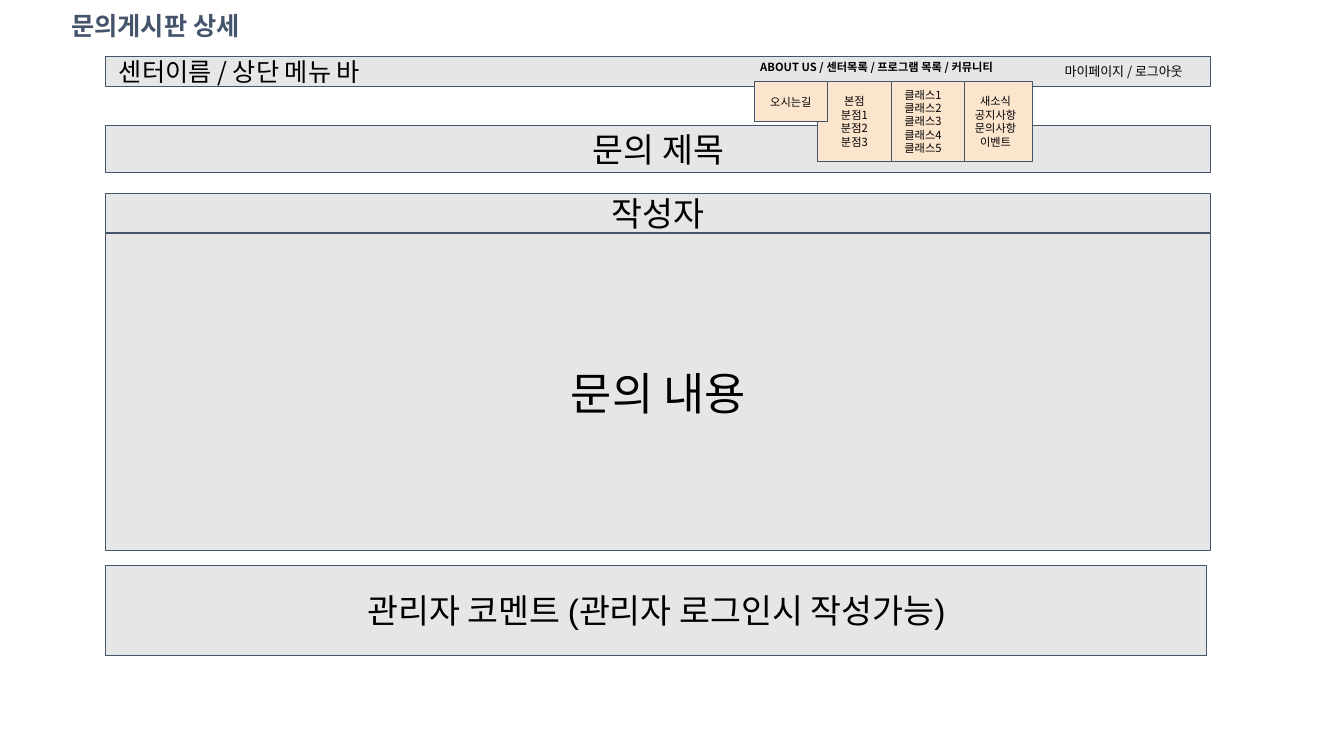
from pptx import Presentation, util as u
from pptx.dml.color import RGBColor
from pptx.enum import shapes, text
from pptx.oxml.ns import qn
from lxml import etree

NAVY = RGBColor(0x44, 0x54, 0x6A)
GRAY = RGBColor(0xE7, 0xE6, 0xE6)
PEACH = RGBColor(0xFC, 0xE5, 0xCD)
BLACK = RGBColor(0, 0, 0)
NOTO = "Noto Sans CJK KR"
LEFT, MID = text.PP_ALIGN.LEFT, text.PP_ALIGN.CENTER

deck = Presentation()
deck.slide_width = u.Inches(13.33)
deck.slide_height = u.Inches(7.5)
slide = deck.slides.add_slide(deck.slide_layouts[6])


def write(item, words, size, face, color, align, pad, bold=False):
    frame = item.text_frame
    frame.word_wrap = True
    frame.margin_left = frame.margin_right = u.Inches(pad)
    frame.margin_top = frame.margin_bottom = u.Inches(pad)
    frame.text = words
    for para in frame.paragraphs:
        para.alignment = align
        for run in para.runs:
            font = run.font
            font.size, font.name, font.bold = u.Pt(size), face, bold
            font.color.rgb = color
            east = etree.SubElement(run._r.get_or_add_rPr(), qn("a:ea"))
            east.set("typeface", NOTO)


def box(x, y, w, h, fill):
    item = slide.shapes.add_shape(
        shapes.MSO_SHAPE.RECTANGLE, *map(u.Inches, (x, y, w, h)))
    item.shadow.inherit = False
    item.fill.solid()
    item.fill.fore_color.rgb = fill
    item.line.color.rgb = NAVY
    item.line.width = u.Pt(0.75)
    item.text_frame.vertical_anchor = text.MSO_ANCHOR.MIDDLE
    return item


edge, wide = 1.05, 10.96
bars = [
    ("문의 제목", 1.25, wide, 0.46, 24, "Arial", MID, 0.1),
    ("작성자", 1.92, wide, 0.39, 24, "Arial", MID, 0.1),
    ("문의 내용", 2.32, wide, 3.14, 32, "Arial", MID, 0.1),
    ("관리자 코멘트 (관리자 로그인시 작성가능)", 5.61, 10.92, 0.89, 24, "Arial", MID, 0.1),
    ("센터이름 / 상단 메뉴 바", 0.56, wide, 0.3, 18, NOTO, LEFT, 0.13),
]
for words, y, w, h, size, face, align, pad in bars:
    write(box(edge, y, w, h, GRAY), words, size, face, BLACK, align, pad)

labels = [
    ("문의게시판 상세", 0.61, 0, 2.44, 0.46, 18, NAVY, 0.1, True),
    ("ABOUT US / 센터목록 / 프로그램 목록 / 커뮤니티", 7.41, 0.53, 3.29, 0.39, 8, BLACK, 0.13, True),
    ("마이페이지 / 로그아웃", 10.43, 0.55, 2.06, 0.21, 9.3, BLACK, 0.13, False),
]
for words, x, y, w, h, size, color, pad, bold in labels:
    note = slide.shapes.add_textbox(*map(u.Inches, (x, y, w, h)))
    write(note, words, size, NOTO, color, LEFT, pad, bold)

col, tall = 0.73, 0.79
menus = [
    (9.51, tall, MID, ["새소식", "공지사항", "문의사항", "이벤트"]),
    (8.11, tall, MID, ["본점"] + [f"분점{n}" for n in range(1, 4)]),
    (8.11 + col, tall, LEFT, [f"클래스{n}" for n in range(1, 6)]),
    (7.48, tall / 2, MID, ["오시는길"]),
]
for x, h, align, rows in menus:
    write(box(x, 0.81, col, h, PEACH), "\n".join(rows), 8, NOTO, BLACK, align, 0.13)

deck.save("out.pptx")
